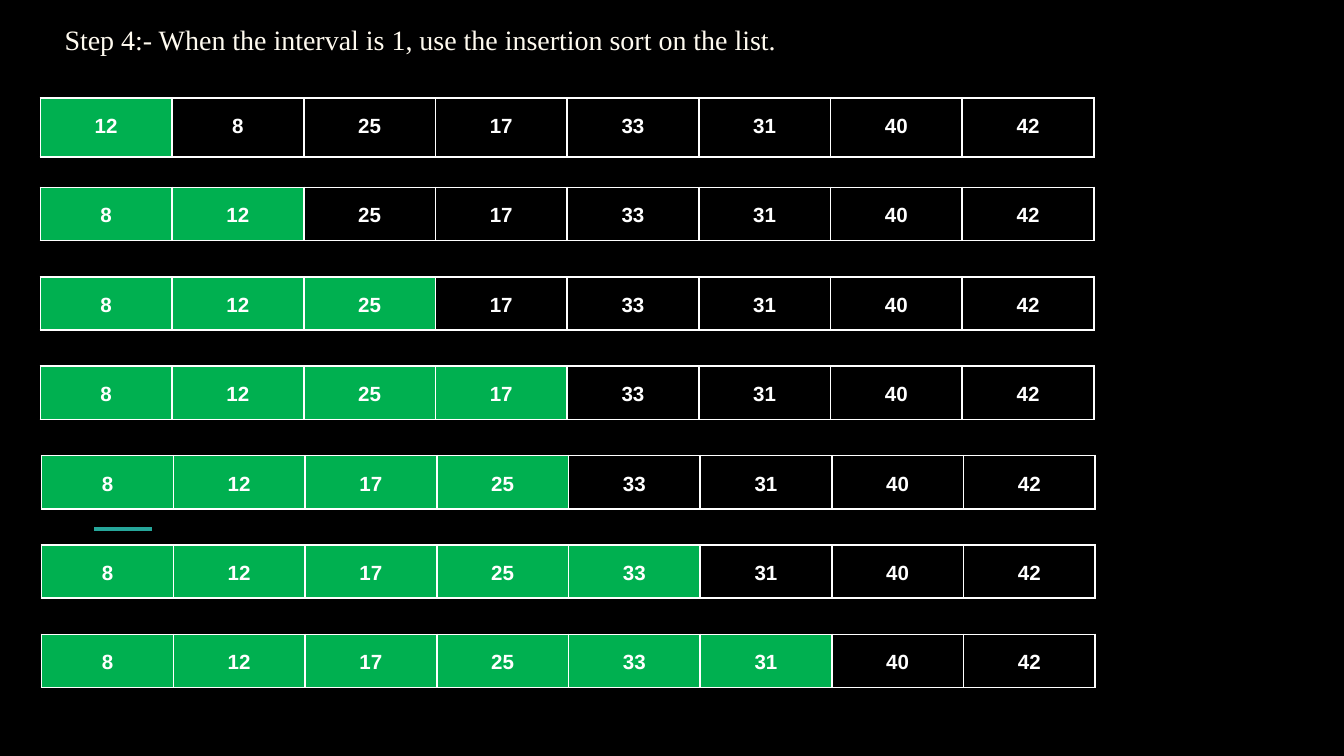
"""Build the slide that shows the insertion sort pass of a shell sort."""
from dataclasses import dataclass

from lxml.etree import SubElement
from pptx import Presentation
from pptx.dml.color import RGBColor
from pptx.enum.shapes import MSO_CONNECTOR as Connector
from pptx.enum.text import MSO_ANCHOR as Anchor, MSO_AUTO_SIZE as AutoSize, PP_ALIGN as Align
from pptx.oxml.ns import qn
from pptx.slide import Slide
from pptx.table import _Cell as Cell
from pptx.util import Inches, Pt

WIDTH = 10
HEIGHT = WIDTH * 9 / 16
BLACK, WHITE, GREEN, TEAL, CREAM = "000000", "FFFFFF", "00B050", "26A69A", "FFFBF0"
FIRST_TOP, LAST_TOP = 0.73, 4.72
COLUMN_WIDTH = 0.98


@dataclass(frozen=True)
class Pass:
    """One state of the list, with the count of highlighted leading cells."""

    values: tuple[int, ...]
    highlighted: int
    left: float = 0.3
    height: float = 0.39


START = (12, 8, 25, 17, 33, 31, 40, 42)
SWAPPED = (8, 12, 25, 17, 33, 31, 40, 42)
ORDERED = (8, 12, 17, 25, 33, 31, 40, 42)
PASSES = (
    Pass(START, 1, height=0.44),
    Pass(SWAPPED, 2),
    Pass(SWAPPED, 3),
    Pass(SWAPPED, 4),
    Pass(ORDERED, 4, left=0.31),
    Pass(ORDERED, 5, left=0.31),
    Pass(ORDERED, 6, left=0.31),
)


def color(value: str) -> RGBColor:
    """Turn a hex string into a colour."""
    return RGBColor.from_string(value)


def add_borders(cell: Cell) -> None:
    """Draw a thin white border on all four sides of a cell."""
    properties = cell._tc.get_or_add_tcPr()
    for index, side in enumerate(("a:lnL", "a:lnR", "a:lnT", "a:lnB")):
        line = properties.makeelement(qn(side), {"w": str(Pt(1))})
        fill = SubElement(line, qn("a:solidFill"))
        SubElement(fill, qn("a:srgbClr"), val=WHITE)
        properties.insert(index, line)


def format_cell(cell: Cell, value: int, highlighted: bool) -> None:
    """Write a value in a cell and style it."""
    cell.margin_left = cell.margin_right = Inches(0.07)
    cell.margin_top = cell.margin_bottom = Inches(0.1)
    if highlighted:
        cell.fill.solid()
        cell.fill.fore_color.rgb = color(GREEN)
    else:
        cell.fill.background()
    add_borders(cell)
    para = cell.text_frame.paragraphs[0]
    para.text = str(value)
    para.alignment = Align.CENTER
    para.line_spacing = 1.15
    font = para.font
    font.name, font.size, font.bold = "Arial", Pt(11), True
    font.color.rgb = color(WHITE)


def add_pass(slide: Slide, step: Pass, top: float) -> None:
    """Add one state of the list as a single-row table."""
    count = len(step.values)
    frame = slide.shapes.add_table(
        1, count, Inches(step.left), Inches(top),
        Inches(COLUMN_WIDTH * count), Inches(step.height),
    )
    table = frame.table
    table.first_row = table.horz_banding = False
    for column, value in enumerate(step.values):
        table.columns[column].width = Inches(COLUMN_WIDTH)
        format_cell(table.cell(0, column), value, column < step.highlighted)


def add_title(slide: Slide, text: str) -> None:
    """Place and format the title placeholder."""
    title = slide.shapes.title
    title.left, title.top = Inches(0.38), Inches(0)
    title.width, title.height = Inches(8.88), Inches(0.52)
    frame = title.text_frame
    frame.auto_size, frame.word_wrap = AutoSize.NONE, True
    frame.vertical_anchor = Anchor.BOTTOM
    frame.margin_left = frame.margin_right = Inches(0.1)
    frame.margin_top = frame.margin_bottom = Inches(0.1)
    para = frame.paragraphs[0]
    para.text = text
    para.alignment = Align.LEFT
    para.line_spacing = 1
    para.font.name, para.font.size = "Times New Roman", Pt(15)
    para.font.color.rgb = color(CREAM)


def add_accent(slide: Slide) -> None:
    """Add the short teal accent line."""
    y = Inches(0.7 * HEIGHT)
    line = slide.shapes.add_connector(
        Connector.STRAIGHT, Inches(0.07 * WIDTH), y, Inches(1.13), y
    )
    line.line.color.rgb = color(TEAL)
    line.line.width = Pt(2.25)
    SubElement(line._element.spPr, qn("a:effectLst"))


def main() -> None:
    """Build and save the deck."""
    deck = Presentation()
    deck.slide_width, deck.slide_height = Inches(WIDTH), Inches(HEIGHT)
    slide = deck.slides.add_slide(deck.slide_layouts.get_by_name("Title Only"))
    slide.background.fill.solid()
    slide.background.fill.fore_color.rgb = color(BLACK)
    add_accent(slide)
    add_title(slide, "Step 4:- When the interval is 1, use the insertion sort on the list.")
    pitch = (LAST_TOP - FIRST_TOP) / (len(PASSES) - 1)
    for index, step in enumerate(PASSES):
        add_pass(slide, step, FIRST_TOP + index * pitch)
    deck.save("out.pptx")


if __name__ == "__main__":
    main()
